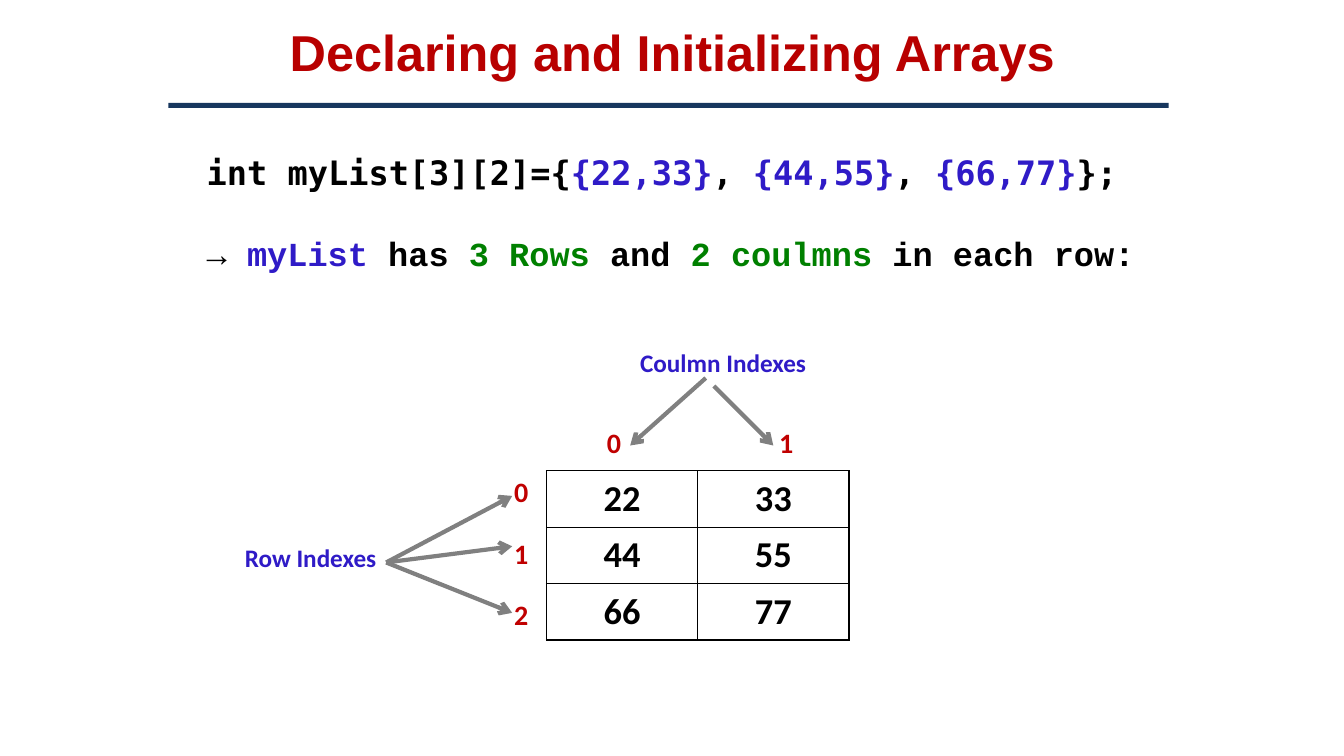
import pptx
import pptx.util
import pptx.dml.color
import pptx.enum.shapes
import pptx.enum.text
import pptx.oxml.ns
import lxml.etree

Inches, Pt = pptx.util.Inches, pptx.util.Pt
RGBColor = pptx.dml.color.RGBColor
PP_ALIGN = pptx.enum.text.PP_ALIGN
ANCHOR = pptx.enum.text.MSO_ANCHOR
AUTO_SIZE = pptx.enum.text.MSO_AUTO_SIZE
qn = pptx.oxml.ns.qn

BLACK = RGBColor(0, 0, 0)
WHITE = RGBColor(255, 255, 255)
TITLE_RED = RGBColor(0xB8, 0, 0)
INDEX_RED = RGBColor(0xC0, 0, 0)
BLUE = RGBColor(0x2F, 0x1B, 0xC7)
GREEN = RGBColor(0, 0x80, 0)
NAVY = RGBColor(0x17, 0x37, 0x5E)
GRAY = RGBColor(0x80, 0x80, 0x80)

TITLE = "Declaring and Initializing Arrays"
CODE = [("int myList[3][2]={", BLACK), ("{22,33}", BLUE), (", ", BLACK),
        ("{44,55}", BLUE), (", ", BLACK), ("{66,77}", BLUE), ("};", BLACK)]
MEANING = [("→ ", BLACK), ("myList", BLUE), (" has ", BLACK), ("3 Rows ", GREEN),
           ("and ", BLACK), ("2 coulmns ", GREEN), ("in each row:", BLACK)]
VALUES = [[22, 33], [44, 55], [66, 77]]
ROW_INDEXES = ["0", "1", "2"]
COLUMN_INDEXES = "0\t1"
LABELS = [("Coulmn Indexes", (6.25, 3.4, 1.86, 0.4)),
          ("Row Indexes", (2.33, 5.33, 1.58, 0.4))]
ROW_HUB = (3.83, 5.58)
ARROWS = [((7, 3.75), (6.25, 4.42)), ((7.08, 3.83), (7.67, 4.42)),
          (ROW_HUB, (5.08, 4.92)), (ROW_HUB, (5.08, 5.42)), (ROW_HUB, (5.08, 6.08))]
TABLE_LEFT, TABLE_TOP, COLUMN_WIDTH, ROW_HEIGHT = 5.42, 4.67, 1.5, 0.56


def place(sp, left, top, width, height):
    sp.left, sp.top = Inches(left), Inches(top)
    sp.width, sp.height = Inches(width), Inches(height)


def write(p, text, size=20, font="Calibri", color=BLACK, align=PP_ALIGN.LEFT):
    """Append a bold run to paragraph p."""
    p.alignment = align
    r = p.add_run()
    r.text = text
    r.font.size, r.font.name, r.font.bold = Pt(size), font, True
    r.font.color.rgb = color


def add_label(s, lines, box, space=0, **style):
    sp = s.shapes.add_textbox(*map(Inches, box))
    tf = sp.text_frame
    tf.word_wrap = True
    for i, line in enumerate(lines):
        p = tf.add_paragraph() if i else tf.paragraphs[0]
        p.space_before = Pt(space)
        write(p, line, **style)
    return sp


def add_arrow(s, start, end):
    line = s.shapes.add_connector(pptx.enum.shapes.MSO_CONNECTOR.STRAIGHT,
                                  *map(Inches, start + end))
    line.line.color.rgb, line.line.width = GRAY, Pt(3)
    ln = line._element.spPr.find(qn("a:ln"))
    lxml.etree.SubElement(ln, qn("a:tailEnd"), type="arrow")
    lxml.etree.SubElement(line._element.spPr, qn("a:effectLst"))


def add_borders(cell):
    tcPr = cell._tc.get_or_add_tcPr()
    for i, side in enumerate(("a:lnL", "a:lnR", "a:lnT", "a:lnB")):
        ln = lxml.etree.SubElement(tcPr, qn(side), w=str(Pt(1)))
        fill = lxml.etree.SubElement(ln, qn("a:solidFill"))
        lxml.etree.SubElement(fill, qn("a:srgbClr"), val=str(BLACK))
        tcPr.insert(i, ln)  # borders come before the cell fill


def add_heading(s):
    title = s.shapes.title
    place(title, 1.67, 0, 10, 1.02)
    title.text_frame.vertical_anchor = ANCHOR.MIDDLE
    write(title.text_frame.paragraphs[0], TITLE, size=36, font="Arial",
          color=TITLE_RED, align=PP_ALIGN.CENTER)
    rule = s.shapes.add_shape(pptx.enum.shapes.MSO_SHAPE.RECTANGLE,
                              *map(Inches, (1.67, 1.02, 9.92, 0.05)))
    rule.shadow.inherit = False
    rule.fill.solid()
    rule.fill.fore_color.rgb = NAVY
    rule.line.fill.background()


def add_code(s):
    body = s.placeholders[1]
    place(body, 1.75, 1.08, 9.75, 2.06)
    tf = body.text_frame
    tf.auto_size = AUTO_SIZE.NONE
    tf.vertical_anchor = ANCHOR.TOP
    tf.margin_left, tf.margin_top = Inches(0.3), Inches(0.5)
    lines = [(CODE, "DejaVu Sans Mono"), (MEANING, "Courier New")]
    for i, (runs, font) in enumerate(lines):
        p = tf.add_paragraph() if i else tf.paragraphs[0]
        p.line_spacing = 0.8
        p.space_before = Pt(35 * i)
        for text, color in runs:
            write(p, text, size=24, font=font, color=color)


def add_values(s):
    rows, cols = len(VALUES), len(VALUES[0])
    table = s.shapes.add_table(rows, cols, Inches(TABLE_LEFT), Inches(TABLE_TOP),
                               Inches(cols * COLUMN_WIDTH),
                               Inches(rows * ROW_HEIGHT)).table
    table.first_row = table.horz_banding = False
    for i, row in enumerate(VALUES):
        for j, value in enumerate(row):
            cell = table.cell(i, j)
            cell.fill.solid()
            cell.fill.fore_color.rgb = WHITE
            cell.vertical_anchor = ANCHOR.MIDDLE
            write(cell.text_frame.paragraphs[0], str(value), size=26,
                  align=PP_ALIGN.CENTER)
            add_borders(cell)


def add_indexes(s):
    add_label(s, ROW_INDEXES, (5, 4.66, 0.33, 1.67), space=20, color=INDEX_RED)
    sp = add_label(s, [COLUMN_INDEXES], (5.92, 4.17, 2.33, 0.44), color=INDEX_RED)
    pPr = sp.text_frame.paragraphs[0]._p.get_or_add_pPr()
    tabs = lxml.etree.SubElement(pPr, qn("a:tabLst"))
    lxml.etree.SubElement(tabs, qn("a:tab"), pos=str(Inches(1.71)), algn="l")
    for start, end in ARROWS:
        add_arrow(s, start, end)
    for text, box in LABELS:
        add_label(s, [text], box, size=18, color=BLUE)


def main():
    prs = pptx.Presentation()
    prs.slide_width, prs.slide_height = Inches(13.33), Inches(7.5)
    s = prs.slides.add_slide(prs.slide_layouts[0])
    add_heading(s)
    add_code(s)
    add_values(s)
    add_indexes(s)
    prs.save("out.pptx")


if __name__ == "__main__":
    main()
